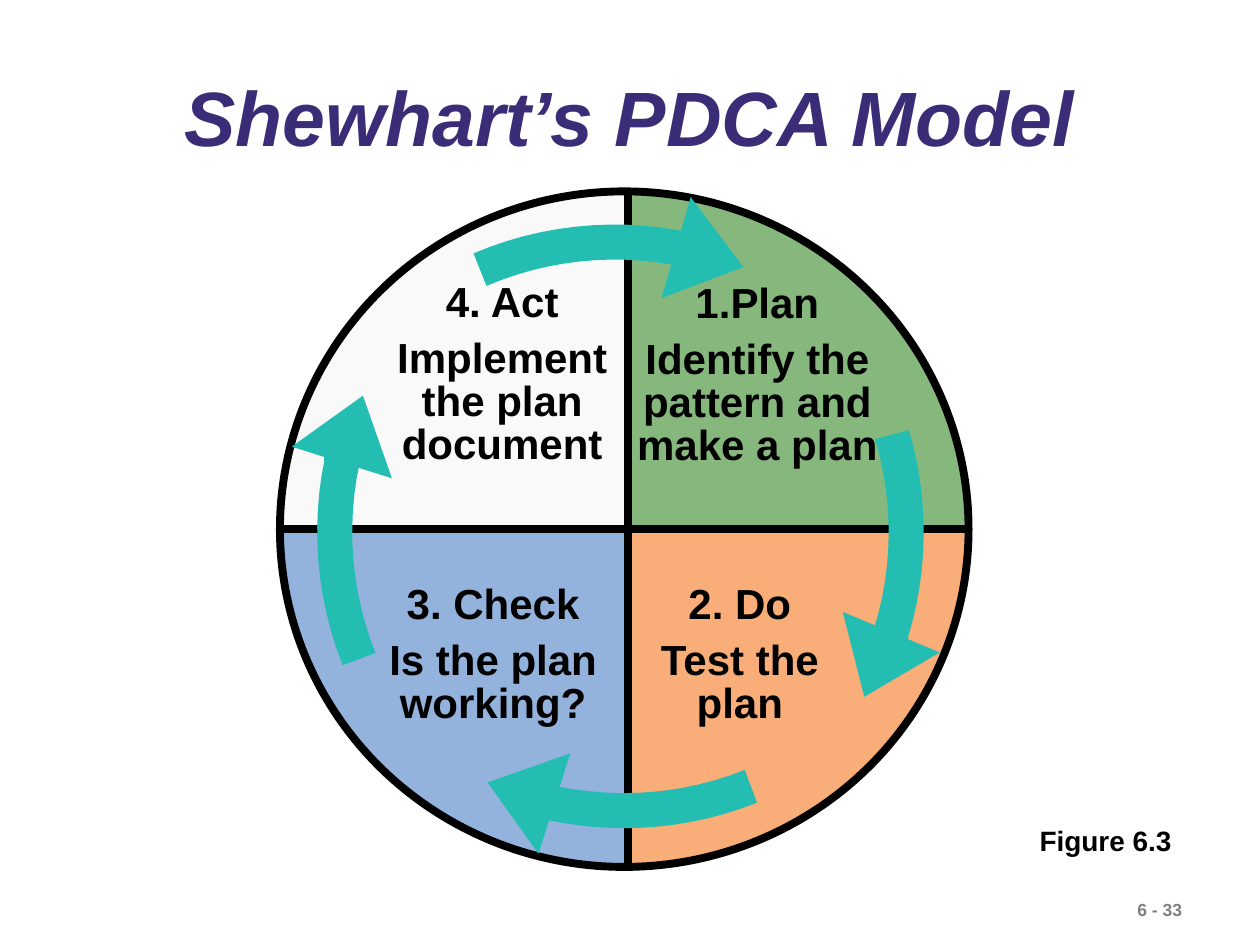
from math import atan2, cos, hypot, pi, radians, sin

from lxml.etree import SubElement
from pptx import Presentation
from pptx.dml.color import RGBColor
from pptx.enum.shapes import MSO_CONNECTOR as Connector, MSO_SHAPE as Shape
from pptx.enum.text import MSO_ANCHOR as Anchor, PP_ALIGN as Align
from pptx.oxml.ns import qn
from pptx.util import Pt

COLORS = {
    "title": "3A2C76", "text": "000000", "number": "7F7F7F", "outline": "000000",
    "act": "F9F9F9", "plan": "86B87D", "do": "F9AD78", "check": "93B3DD",
    "arrow": "24BDB2",
}
WHEEL = (160, 109.4, 393.5, 386)
CROSS = (358.9, 302.4)
QUADRANTS = [
    ("act", -1, -1, (217.2, 158.4, 139.5, 113), ["4. Act", "Implement the plan document"]),
    ("do", 1, 1, (364.8, 330.9, 116, 88.5), ["2. Do", "Test the plan"]),
    ("check", -1, 1, (213.8, 330.9, 136, 88.5), ["3. Check", "Is the plan working?"]),
    ("plan", 1, -1, (338.1, 159.1, 189.4, 113), ["Plan", "Identify the pattern and make a plan"]),
]
ARROWS = [
    ((509.8, 248.4), (493.9, 398.2), 320,
     [(519.1, 364.3), (515.5, 374.4), (504.7, 372.2), (509.8, 358.6)]),
    ((274.3, 154.1), (424.8, 152.6), 43.7,
     [(401.8, 134.6), (395.3, 148.3), (385.2, 146.2), (390.2, 132.5)]),
    ((205.2, 376.6), (207.4, 226.1), 314.7,
     [(199.4, 255.6), (195.8, 265.7), (185, 263.5), (187.9, 247.7)]),
    ((429.1, 449.3), (278.6, 447.1), 225,
     [(317.5, 458.6), (313.9, 468.7), (302.4, 466.6), (308.2, 452.2)]),
]
ARROW_SAG = 15


def color(name):
    return RGBColor.from_string(COLORS[name])


def add_text(slide, box, lines, size, name="text", align=Align.LEFT, spacing=1.0,
             gap=0, italic=False, anchor=Anchor.TOP, numbered=False):
    shape = slide.shapes.add_textbox(*map(Pt, box))
    frame = shape.text_frame
    frame.word_wrap = True
    frame.vertical_anchor = anchor
    for index, line in enumerate(lines):
        paragraph = frame.paragraphs[0] if index == 0 else frame.add_paragraph()
        paragraph.alignment = align
        paragraph.line_spacing = spacing
        if index:
            paragraph.space_before = Pt(gap)
        elif numbered:
            properties = paragraph._p.get_or_add_pPr()
            SubElement(properties, qn("a:buAutoNum"), type="arabicPeriod")
        run = paragraph.add_run()
        run.text = line
        run.font.name = "Arial"
        run.font.size = Pt(size)
        run.font.bold = True
        run.font.italic = italic
        run.font.color.rgb = color(name)


def add_outline(slide, points, closed):
    corners = [(Pt(x), Pt(y)) for x, y in points]
    builder = slide.shapes.build_freeform(*corners[0])
    builder.add_line_segments(corners[1:], close=closed)
    shape = builder.convert_to_shape()
    shape.shadow.inherit = False
    return shape


def add_area(slide, points, name):
    shape = add_outline(slide, points, True)
    shape.fill.solid()
    shape.fill.fore_color.rgb = color(name)
    shape.line.fill.background()


def add_quadrant(slide, wheel, name, across, down, text_box, lines):
    left, top, width, height = wheel
    x, y = CROSS
    radius_x = left + width - x if across > 0 else x - left
    radius_y = top + height - y if down > 0 else y - top
    steps = 18
    angles = [pi / 2 * step / steps for step in range(steps + 1)]
    rim = [(x + across * radius_x * cos(angle), y + down * radius_y * sin(angle))
           for angle in angles]
    add_area(slide, [CROSS] + rim, name)
    add_text(slide, text_box, lines, 24, align=Align.CENTER, spacing=0.85,
             gap=7.5, numbered=name == "plan")


def add_line(slide, start, end):
    line = slide.shapes.add_connector(Connector.STRAIGHT, *map(Pt, start + end))
    line.line.color.rgb = color("outline")
    line.line.width = Pt(4.5)
    SubElement(line._element.spPr, qn("a:effectLst"))


def add_frame(slide, wheel):
    left, top, width, height = wheel
    rim = slide.shapes.add_shape(Shape.OVAL, *map(Pt, wheel))
    rim.shadow.inherit = False
    rim.fill.background()
    rim.line.color.rgb = color("outline")
    rim.line.width = Pt(4.5)
    add_line(slide, (left, CROSS[1]), (left + width, CROSS[1]))
    add_line(slide, (CROSS[0], top), (CROSS[0], top + height))


def arc_points(start, end, sag, rotation, steps=16):
    dx, dy = end[0] - start[0], end[1] - start[1]
    chord = hypot(dx, dy)
    radius = (chord ** 2 / 4 + sag ** 2) / (2 * sag)
    middle = atan2(-dx, dy) - radians(rotation)
    x = (start[0] + end[0]) / 2 - cos(middle) * (radius - sag)
    y = (start[1] + end[1]) / 2 - sin(middle) * (radius - sag)
    half = atan2(chord / 2, radius - sag)
    angles = [middle + half * (2 * step / steps - 1) for step in range(steps + 1)]
    return [(x + radius * cos(angle), y + radius * sin(angle)) for angle in angles]


def add_arrow(slide, start, end, rotation, joint):
    shape = add_outline(slide, arc_points(start, end, ARROW_SAG, rotation), False)
    shape.rotation = rotation
    shape.fill.background()
    shape.line.color.rgb = color("arrow")
    shape.line.width = Pt(20)
    SubElement(shape.line._get_or_add_ln(), qn("a:tailEnd"),
               type="triangle", w="med", len="sm")
    add_area(slide, joint, "arrow")


def add_wheel(slide, wheel):
    for quadrant in QUADRANTS:
        add_quadrant(slide, wheel, *quadrant)
    add_frame(slide, wheel)
    for arrow in ARROWS:
        add_arrow(slide, *arrow)


def main():
    presentation = Presentation()
    presentation.slide_width = Pt(720)
    presentation.slide_height = Pt(540)
    slide = presentation.slides.add_slide(presentation.slide_layouts[6])
    add_text(slide, (642.9, 510.2, 77, 19.4), ["6 - 33"], 10, "number")
    add_text(slide, (54, 34, 612, 71.3), ["Shewhart’s PDCA Model"], 44, "title",
             Align.CENTER, 0.9, italic=True, anchor=Anchor.MIDDLE)
    add_wheel(slide, WHEEL)
    add_text(slide, (587, 467, 94, 26.6), ["Figure 6.3"], 16)
    presentation.save("out.pptx")


if __name__ == "__main__":
    main()
